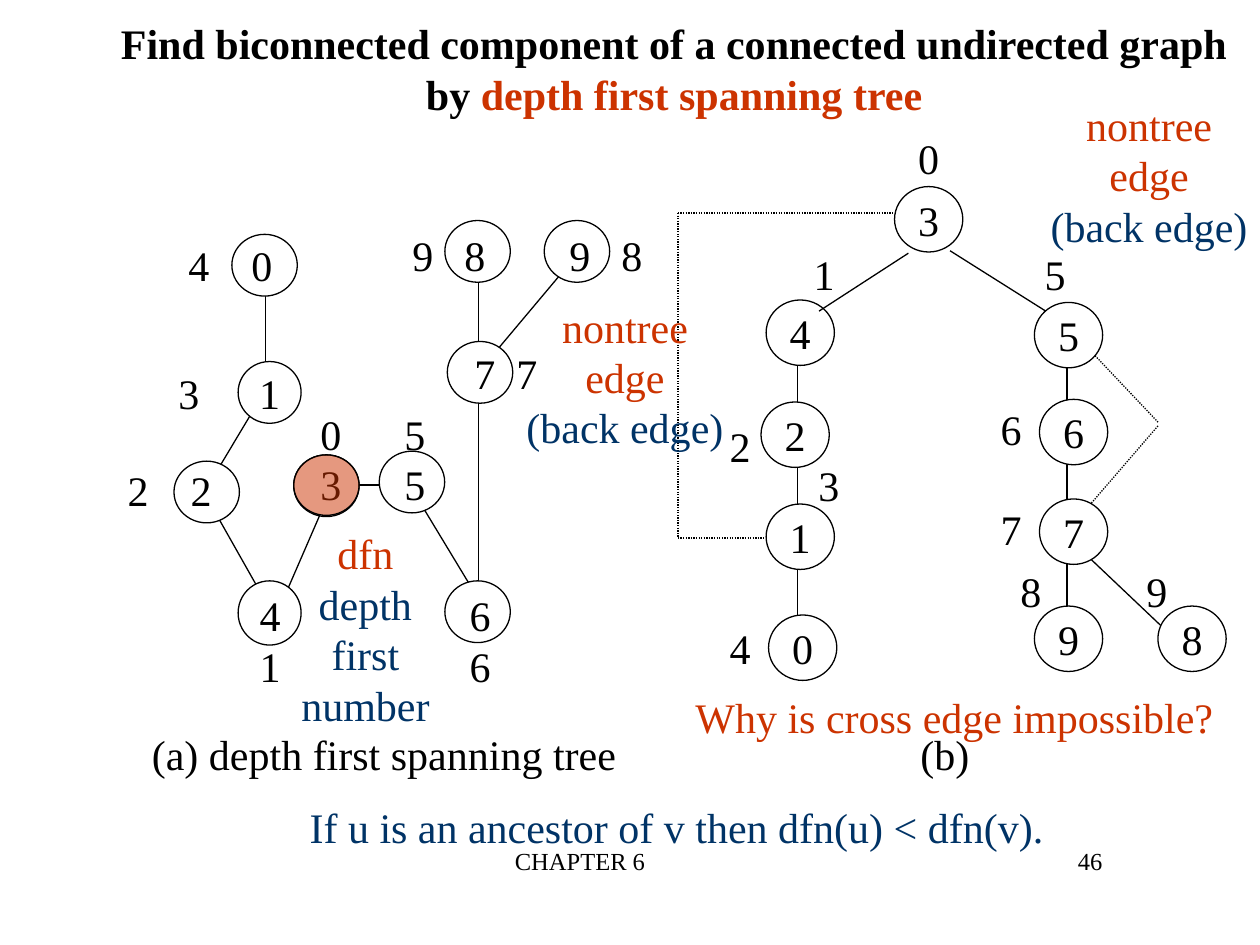
import dataclasses
import typing

import lxml.etree
import pptx
import pptx.dml.color
import pptx.enum.dml
import pptx.enum.shapes
import pptx.enum.text
import pptx.oxml.ns
import pptx.util

Pt = pptx.util.Pt
Align = pptx.enum.text.PP_ALIGN
Anchor = pptx.enum.text.MSO_ANCHOR


@dataclasses.dataclass(frozen=True)
class Theme:
    font: str = "Times New Roman"
    ink: str = "000000"
    paper: str = "FFFFFF"
    red: str = "CC3300"
    navy: str = "003366"
    body: float = 24
    footer: float = 14
    line: float = 0.75


class Span(typing.NamedTuple):
    text: str
    color: str


class Node(typing.NamedTuple):
    left: float
    top: float
    label: str = ""
    width: float = 37.4
    height: float = 35.3


class Edge(typing.NamedTuple):
    x1: float
    y1: float
    x2: float
    y2: float


class Label(typing.NamedTuple):
    text: str
    x: float
    y: float


THEME = Theme()
TREE_WIDTH, TREE_HEIGHT = 39, 37.4

TREE_EDGES = [
    Edge(151.9, 153.4, 151.9, 222.5), Edge(151.9, 222.5, 116.6, 281.5),
    Edge(116.6, 281.5, 157.7, 354.2), Edge(157.7, 352.1, 190.8, 275.8),
    Edge(193, 277.2, 236.2, 277.2), Edge(234, 277.2, 275.8, 346.3),
    Edge(273.6, 342.7, 273.6, 139.7), Edge(273.6, 212.4, 326.2, 149.8),
    Edge(455.8, 190.1, 455.8, 379.4), Edge(609.8, 192.2, 609.8, 375.1),
    Edge(609.8, 306.7, 679.7, 373),
]
ROOT_EDGES = [Edge(519.1, 144.7, 468, 177.8), Edge(542.9, 143.3, 597.6, 177.8)]
BACK_EDGES = [
    Edge(661.7, 243.4, 607.7, 306), Edge(610.6, 187.2, 661.7, 241.2),
    Edge(387.4, 121.7, 532.8, 121.7), Edge(387.4, 121.7, 387.4, 307.4),
    Edge(387.4, 307.4, 455.8, 307.4),
]

GRAPH_NODES = [
    Node(132.5, 133.9), Node(136.1, 206.6, "1", 36), Node(99.4, 263.5),
    Node(136.1, 331.9, "", 36, 36.7), Node(167.8, 259.9), Node(216.7, 257.8),
    Node(254.2, 331.9), Node(254.2, 126), Node(311, 126), Node(255.6, 195.1),
]
TREE_NODES = [
    Node(left, top, label, TREE_WIDTH, TREE_HEIGHT)
    for left, top, label in [
        (511.2, 106.6, "3"), (437.8, 171.4, "4"), (591.1, 172.8, "5"),
        (594, 285.1, "7"), (594, 228.2, "6"), (591.1, 346.3, "9"),
        (661.7, 346.3, "8"), (434.9, 229.7, "2"), (439.2, 351.4, "0"),
        (437.8, 288, "1"),
    ]
]

GRAPH_LABELS = [
    Label("4", 113.7, 151.2), Label("0", 149.7, 151.2), Label("3", 108, 224.6),
    Label("0", 189, 247.7), Label("5", 237.1, 247.7),
    Label("3", 189, 276.5), Label("5", 237.1, 276.5),
    Label("4", 154.3, 351.4), Label("6", 274.3, 351.4),
    Label("1", 154.3, 380.2), Label("6", 274.3, 380.2),
    Label("9", 241.7, 145.4), Label("8", 271.4, 145.4),
    Label("9", 331.4, 145.4), Label("8", 361.1, 145.4),
    Label("7", 277.1, 213.1), Label("7", 301.1, 213.1),
    Label("2", 78.9, 280.1), Label("2", 114.9, 280.1),
]
TREE_LABELS = [
    Label("8", 589.1, 337.7), Label("9", 661.1, 337.7), Label("0", 530.6, 90),
    Label("6", 577.8, 244.8), Label("7", 577.8, 302.4),
    Label("1", 470.9, 156.2), Label("5", 602.9, 156.2),
    Label("2", 422.9, 254.9), Label("4", 422.9, 370.1), Label("3", 473.7, 277.2),
]
CAPTIONS = [Label("(a) depth first spanning tree", 219.4, 430.6), Label("(b)", 540, 430.6)]


def rgb(color: str) -> pptx.dml.color.RGBColor:
    """Turn a hex string into a colour."""
    return pptx.dml.color.RGBColor.from_string(color)


def write_text(frame, lines, *, size=THEME.body, align=Align.CENTER,
               anchor=Anchor.MIDDLE, bold=False, color=THEME.ink) -> None:
    """Fill a text frame from strings or lists of spans."""
    frame.word_wrap = False
    frame.margin_left = frame.margin_right = 0
    frame.vertical_anchor = anchor
    for index, line in enumerate(lines):
        para = frame.paragraphs[0] if index == 0 else frame.add_paragraph()
        para.alignment = align
        for span in [Span(line, color)] if isinstance(line, str) else line:
            run = para.add_run()
            run.text = span.text
            run.font.name = THEME.font
            run.font.size = Pt(size)
            run.font.bold = bold
            run.font.color.rgb = rgb(span.color)


def add_text(page, lines, left: float, top: float, width: float, height: float, **style) -> None:
    """Place a text box."""
    box = page.shapes.add_textbox(Pt(left), Pt(top), Pt(width), Pt(height))
    write_text(box.text_frame, lines, **style)


def add_label(page, label: Label, width: float = 26, **style) -> None:
    """Place a one-line text centred on a point."""
    add_text(page, [label.text], label.x - width / 2, label.y - 18, width, 36, **style)


def add_edge(page, edge: Edge, dotted: bool = False) -> None:
    """Draw a straight edge."""
    line = page.shapes.add_connector(
        pptx.enum.shapes.MSO_CONNECTOR.STRAIGHT, *(Pt(value) for value in edge))
    line.line.color.rgb = rgb(THEME.ink)
    line.line.width = Pt(THEME.line)
    if dotted:
        line.line.dash_style = pptx.enum.dml.MSO_LINE.ROUND_DOT
    lxml.etree.SubElement(line._element.spPr, pptx.oxml.ns.qn("a:effectLst"))


def add_node(page, node: Node, fill: str = THEME.paper, opacity: int = 100) -> None:
    """Draw a vertex with its label."""
    shape = page.shapes.add_shape(
        pptx.enum.shapes.MSO_SHAPE.OVAL,
        Pt(node.left), Pt(node.top), Pt(node.width), Pt(node.height))
    shape.shadow.inherit = False
    shape.fill.solid()
    shape.fill.fore_color.rgb = rgb(fill)
    shape.line.color.rgb = rgb(THEME.ink)
    shape.line.width = Pt(THEME.line)
    if opacity < 100:
        tint = shape._element.spPr.find(".//" + pptx.oxml.ns.qn("a:srgbClr"))
        alpha = lxml.etree.SubElement(tint, pptx.oxml.ns.qn("a:alpha"))
        alpha.set("val", str(opacity * 1000))
    if node.label:
        write_text(shape.text_frame, [node.label])


def add_notes_on_graph(page) -> None:
    """Add the coloured remarks beside the graphs."""
    add_text(page, [[Span("dfn", THEME.red)]] + [
        [Span(word, THEME.navy)] for word in ("depth", "first", "number")],
        164.9, 298.1, 87.8, 122.4)
    back_edge = [[Span("nontree", THEME.red)], [Span("edge", THEME.red)],
                 [Span("(back edge)", THEME.navy)]]
    for left, top in [(293.8, 168.5), (593.3, 53.3)]:
        add_text(page, back_edge, left, top, 126.7, 93.6)
    add_label(page, Label("Why is cross edge impossible?", 545.4, 409.7), 310, color=THEME.red)
    add_label(page, Label("If u is an ancestor of v then dfn(u) < dfn(v).", 386.6, 472.3),
              433, color=THEME.navy)


def main() -> None:
    """Build the slide and save it."""
    deck = pptx.Presentation()
    deck.slide_width, deck.slide_height = Pt(720), Pt(540)
    page = deck.slides.add_slide(deck.slide_layouts[6])
    footer = {"size": THEME.footer, "anchor": Anchor.TOP}
    add_text(page, ["CHAPTER 6"], 217.4, 480.2, 228.2, 36, **footer)
    add_text(page, ["46"], 487.4, 480.2, 142.6, 36, align=Align.RIGHT, **footer)
    add_text(page, ["Find biconnected component of a connected undirected graph",
                    [Span("by ", THEME.ink), Span("depth first spanning tree", THEME.red)]],
             61.9, 6.5, 646.6, 64.8, bold=True)
    for edge in BACK_EDGES:
        add_edge(page, edge, dotted=True)
    for edge in TREE_EDGES:
        add_edge(page, edge)
    for node in GRAPH_NODES + TREE_NODES:
        add_node(page, node)
    for label in GRAPH_LABELS + TREE_LABELS:
        add_label(page, label)
    for caption in CAPTIONS:
        add_label(page, caption, 12 * len(caption.text))
    for edge in ROOT_EDGES:
        add_edge(page, edge)
    add_node(page, Node(167.8, 259.9, height=34.6), THEME.red, 50)
    add_notes_on_graph(page)
    deck.save("out.pptx")


if __name__ == "__main__":
    main()
